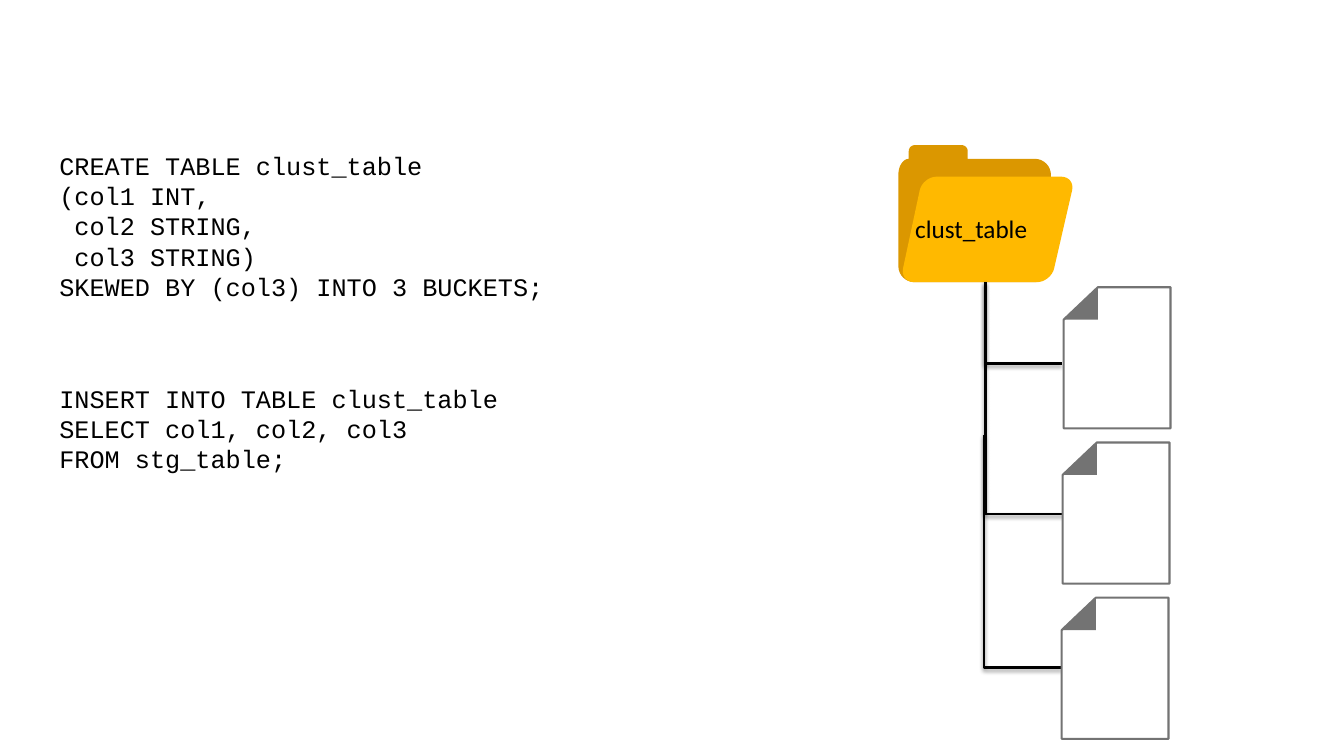
from dataclasses import dataclass
from itertools import chain
from lxml.etree import SubElement
from pptx import Presentation
from pptx.dml.color import RGBColor
from pptx.enum.shapes import MSO_CONNECTOR
from pptx.enum.text import MSO_AUTO_SIZE
from pptx.oxml.ns import qn
from pptx.util import Inches, Pt


@dataclass(frozen=True)
class Theme:
    """Colours, fonts and sizes of the slide."""
    ink: str = "000000"
    paper: str = "FFFFFF"
    edge: str = "737373"
    folder_back: str = "DB9700"
    folder_front: str = "FFB900"
    code_font: str = "Courier New"
    label_font: str = "Calibri"
    text_size: float = 18
    edge_width: float = 1.5
    branch_width: float = 2


@dataclass(frozen=True)
class Box:
    """A region in inches."""
    left: float
    top: float
    width: float
    height: float

    def point(self, across, down):
        """Return the place at the given shares of the box."""
        return self.left + across * self.width, self.top + down * self.height


THEME = Theme()
CREATE_LINES = ["CREATE TABLE clust_table", "(col1 INT,", " col2 STRING,",
                " col3 STRING)", "SKEWED BY (col3) INTO 3 BUCKETS;"]
INSERT_LINES = ["INSERT INTO TABLE clust_table", "SELECT col1, col2, col3",
                "FROM stg_table;"]
FOLDER_BACK = [(0, 0.1, 0.16), (0.06, 0.1, 0), (0.06, 0, 0.06), (0.4, 0, 0.06),
               (0.4, 0.1, 0), (0.88, 0.1, 0.16), (0.88, 1, 0.16), (0, 1, 0.16)]
FOLDER_FRONT = [(1.02, 0.23, 0.14), (0.88, 1, 0.14), (0.01, 1, 0.14), (0.14, 0.23, 0.14)]
SHEET = [(1, 1), (0, 1), (0, 0.23), (0.32, 0), (1, 0)]
FOLD = [(0.32, 0.23), (0, 0.23), (0.32, 0)]
BRANCHES = [((9.77, 2.8), (10.53, 3.61)), ((9.77, 2.8), (10.55, 5.1)),
            ((9.76, 4.32), (10.53, 6.62))]


def write_lines(shapes, box, lines, font_name):
    """Place unwrapped text, one paragraph per line."""
    text_box = shapes.add_textbox(*map(Inches, (box.left, box.top, box.width, box.height)))
    frame = text_box.text_frame
    frame.word_wrap = False
    frame.auto_size = MSO_AUTO_SIZE.SHAPE_TO_FIT_TEXT
    for index, line in enumerate(lines):
        para = frame.add_paragraph() if index else frame.paragraphs[0]
        span = para.add_run()
        span.text = line
        for name, value in {"name": font_name, "size": Pt(THEME.text_size)}.items():
            setattr(span.font, name, value)
        span.font.color.rgb = RGBColor.from_string(THEME.ink)


def draw_outline(shapes, points, fill, line=None):
    """Draw a closed filled polygon."""
    corners = [tuple(map(Inches, point)) for point in points]
    builder = shapes.build_freeform(*corners[0])
    builder.add_line_segments(corners[1:], close=True)
    shape = builder.convert_to_shape()
    shape.shadow.inherit = False
    shape.fill.solid()
    shape.fill.fore_color.rgb = RGBColor.from_string(fill)
    if line:
        shape.line.color.rgb = RGBColor.from_string(line)
        shape.line.width = Pt(THEME.edge_width)
    else:
        shape.line.fill.background()


def toward(start, end, share):
    """Return the point a share of the way from start to end."""
    return tuple(a + (b - a) * share for a, b in zip(start, end))


def round_corner(before, corner, after, radius, steps=8):
    """Return points along a rounded corner."""
    if not radius:
        return [corner]
    ends = []
    for other in (before, after):
        length = sum((a - b) ** 2 for a, b in zip(corner, other)) ** 0.5
        ends.append(toward(corner, other, min(radius / length, 1)))
    first, last = ends
    controls = (first, toward(first, corner, 0.55), toward(last, corner, 0.55), last)
    curve = []
    for step in range(steps + 1):
        t = step / steps
        weights = ((1 - t) ** 3, 3 * t * (1 - t) ** 2, 3 * t * t * (1 - t), t ** 3)
        curve.append(tuple(sum(weight * control[axis] for weight, control
                               in zip(weights, controls)) for axis in (0, 1)))
    return curve


def rounded_outline(box, corners):
    """Return the outline through rounded corners given as shares of the box."""
    spots = [box.point(across, down) for across, down, _ in corners]
    return list(chain.from_iterable(
        round_corner(spots[index - 1], spots[index],
                     spots[(index + 1) % len(spots)], corner[2])
        for index, corner in enumerate(corners)))


def draw_folder(page, box):
    """Draw the folder with its table name."""
    shapes = page.shapes.add_group_shape().shapes
    for corners, fill in ((FOLDER_BACK, THEME.folder_back), (FOLDER_FRONT, THEME.folder_front)):
        draw_outline(shapes, rounded_outline(box, corners), fill)
    label = Box(*box.point(0.04, 0.46), 1.33, 0.4)
    write_lines(shapes, label, ["clust_table"], THEME.label_font)


def draw_document(page, box):
    """Draw a sheet with a folded corner."""
    shapes = page.shapes.add_group_shape().shapes
    draw_outline(shapes, [box.point(*spot) for spot in SHEET], THEME.paper, THEME.edge)
    draw_outline(shapes, [box.point(*spot) for spot in FOLD], THEME.edge)


def draw_branch(page, start, end):
    """Draw a connector that runs down and then right."""
    across, down = end[0] - start[0], end[1] - start[1]
    left = (start[0] + end[0] - down) / 2
    top = (start[1] + end[1] - across) / 2
    branch = page.shapes.add_connector(
        MSO_CONNECTOR.ELBOW, *map(Inches, (left + down, top, left, top + across)))
    branch.line.color.rgb = RGBColor.from_string(THEME.ink)
    branch.line.width = Pt(THEME.branch_width)
    properties = branch._element.spPr
    properties.find(qn("a:xfrm")).set("rot", str(270 * 60000))
    properties.find(qn("a:prstGeom")).set("prst", "bentConnector2")
    effects = SubElement(properties, qn("a:effectLst"))
    shadow = SubElement(effects, qn("a:outerShdw"), blurRad=str(Pt(3.1)),
                        dist=str(Pt(1.6)), dir=str(90 * 60000), rotWithShape="0")
    colour = SubElement(shadow, qn("a:srgbClr"), val=THEME.ink)
    SubElement(colour, qn("a:alpha"), val="38000")


def draw_tree(page, box):
    """Draw the folder, its branches and its three bucket files."""
    draw_folder(page, Box(box.left, box.top, 1.72, 1.36))
    for start, end in BRANCHES:
        draw_branch(page, start, end)
    for row in range(3):
        draw_document(page, Box(box.left + 1.64 - 0.01 * row,
                                box.top + 1.41 + 1.54 * row, 1.06, 1.4))


def main():
    """Build and save the slide."""
    deck = Presentation()
    deck.slide_width, deck.slide_height = Inches(13.33), Inches(7.5)
    page = deck.slides.add_slide(deck.slide_layouts[6])
    write_lines(page.shapes, Box(0.49, 1.44, 5.03, 1.62), CREATE_LINES, THEME.code_font)
    write_lines(page.shapes, Box(0.49, 3.75, 4.57, 1.01), INSERT_LINES, THEME.code_font)
    draw_tree(page, Box(8.91, 1.44, 2.7, 5.9))
    deck.save("out.pptx")


if __name__ == "__main__":
    main()
